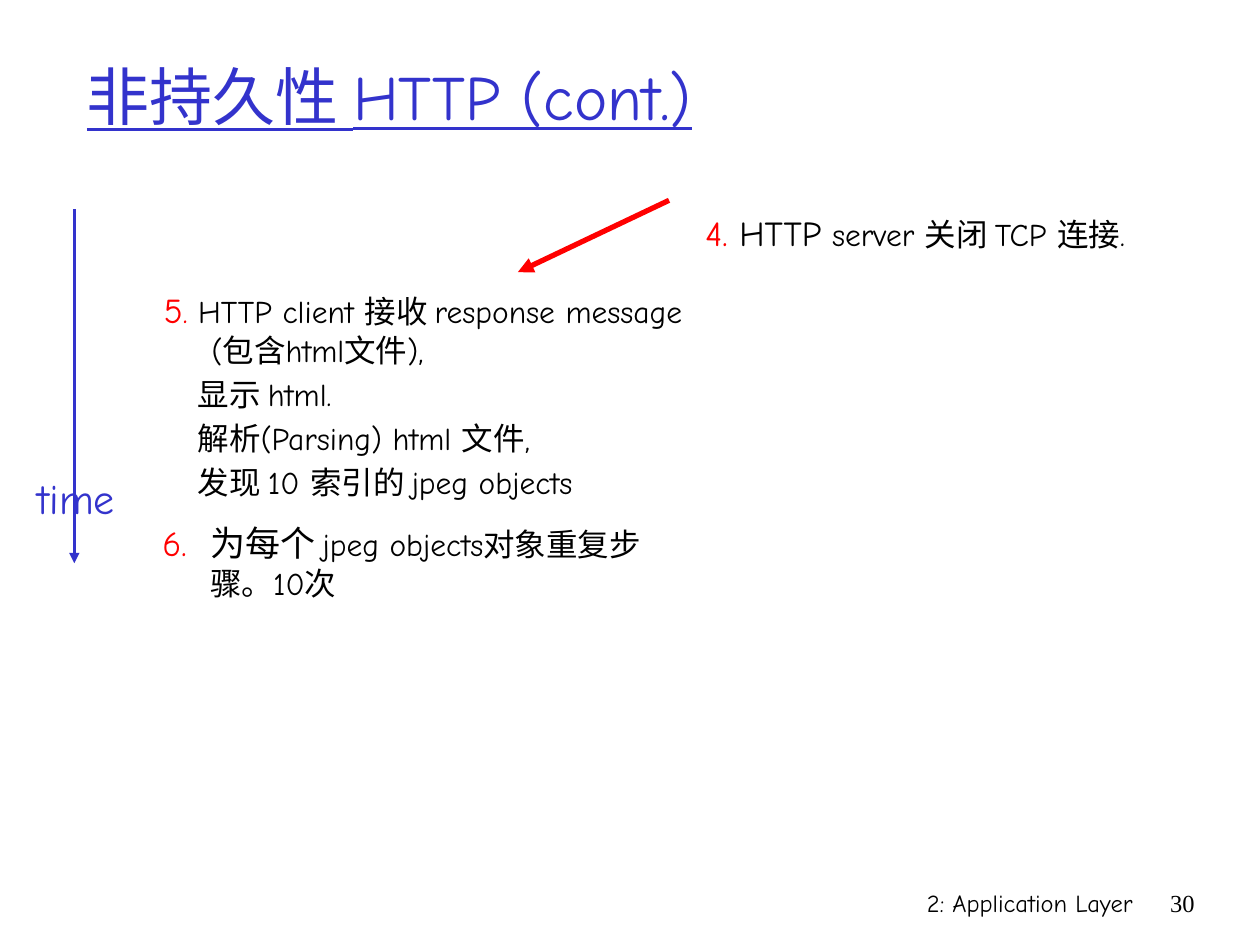
from dataclasses import dataclass
from typing import Any

from pptx import Presentation
from pptx.dml.color import RGBColor
from pptx.enum.shapes import MSO_CONNECTOR
from pptx.enum.text import MSO_ANCHOR as Anchor, MSO_AUTO_SIZE as AutoSize, PP_ALIGN as Align
from pptx.oxml.ns import qn
from pptx.util import Inches, Pt

BLUE, RED, BLACK = "3333CC", "FF0000", "000000"
HANGING = 0.38


def color(value):
    return RGBColor.from_string(value)


@dataclass
class SlideBuilder:
    page: Any
    font: str = "Comic Neue"

    def place(self, box, left, top, width, height):
        box.left, box.top = Inches(left), Inches(top)
        box.width, box.height = Inches(width), Inches(height)
        box.text_frame.word_wrap = True
        box.text_frame.auto_size = AutoSize.NONE
        return box

    def text_box(self, *area):
        return self.place(self.page.shapes.add_textbox(*[Inches(n) for n in area]), *area)

    def label(self, box, text, size, ink, align, font=None):
        para = box.text_frame.paragraphs[0]
        para.text, para.alignment = text, align
        para.font.name = font or self.font
        para.font.size, para.font.color.rgb = Pt(size), color(ink)
        return para

    def steps(self, box, *lines):
        """Each line is (left margin, first indent, [(text, size, colour), ...])."""
        frame = box.text_frame
        for number, (margin, indent, spans) in enumerate(lines):
            para = frame.add_paragraph() if number else frame.paragraphs[0]
            para.alignment = Align.LEFT
            para.space_before = Pt(3.6 if number else 0)
            props = para._p.get_or_add_pPr()
            props.set("marL", str(Inches(margin)))
            props.set("indent", str(Inches(indent)))
            props.append(props.makeelement(qn("a:buNone"), {}))
            if any("\t" in text for text, _, _ in spans):
                stops = props.makeelement(qn("a:tabLst"), {})
                stops.append(stops.makeelement(
                    qn("a:tab"), {"pos": str(Inches(0.45)), "algn": "l"}))
                props.append(stops)
            para.font.name = self.font
            for text, size, ink in spans:
                span = para.add_run()
                span.text = text
                span.font.size, span.font.color.rgb = Pt(size), color(ink)

    def arrow(self, start, end, ink, width):
        line = self.page.shapes.add_connector(
            MSO_CONNECTOR.STRAIGHT, *[Inches(n) for n in (*start, *end)])
        line.line.color.rgb, line.line.width = color(ink), Pt(width)
        outline = line.line._get_or_add_ln()
        outline.append(outline.makeelement(qn("a:tailEnd"), {"type": "triangle"}))
        shape_props = line._element.spPr
        shape_props.append(shape_props.makeelement(qn("a:effectLst"), {}))


def main():
    deck = Presentation()
    deck.slide_width, deck.slide_height = Inches(10), Inches(7.5)
    page = deck.slides.add_slide(deck.slide_layouts[1])
    build = SlideBuilder(page)

    # Footer and page number
    build.label(build.text_box(5.92, 7, 3.17, 0.5), "2: Application Layer", 14, BLACK, Align.RIGHT)
    build.label(build.text_box(9.08, 7, 0.5, 0.5), "30", 14, BLACK, Align.RIGHT, "Times New Roman")

    # Title
    title = build.place(page.shapes.title, 0.59, 0.28, 8.5, 0.95)
    title.text_frame.vertical_anchor = Anchor.MIDDLE
    build.label(title, "非持久性 HTTP (cont.)", 36, BLUE, Align.LEFT).font.underline = True

    # Step 5, with its follow-up lines
    body = build.place(page.placeholders[1], 1.2, 2.24, 4.46, 1.68)
    follow_ups = ["显示 html.", "解析(Parsing) html 文件,", "发现 10 索引的 jpeg objects"]
    build.steps(
        body,
        (HANGING, -HANGING, [
            ("5", 20, RED), (".", 18, RED),
            (" HTTP client 接收 response message (包含html文件),", 18, BLACK)]),
        *[(0.27, 0, [(text, 18, BLACK)]) for text in follow_ups])

    # Steps 6 and 4
    build.steps(build.text_box(1.19, 4.09, 4.17, 0.73), (HANGING, -HANGING, [
        ("6.\t", 20, RED), ("为每个", 20, BLACK), (" jpeg objects对象重复步骤。10次", 18, BLACK)]))
    build.steps(build.text_box(5.5, 1.63, 4.17, 0.8), (HANGING, -HANGING, [
        ("4.", 20, RED), (" HTTP", 20, BLACK), (" server 关闭 TCP 连接.", 18, BLACK)]))

    # Time axis
    build.arrow((0.59, 1.66), (0.59, 4.47), BLUE, 1.5)
    time = build.text_box(0.16, 3.7, 0.89, 0.5)
    time.text_frame.word_wrap = False
    build.label(time, "time", 24, BLUE, Align.CENTER)

    # Message from server to client
    build.arrow((5.31, 1.59), (4.11, 2.16), RED, 3)

    deck.save("out.pptx")


if __name__ == "__main__":
    main()
